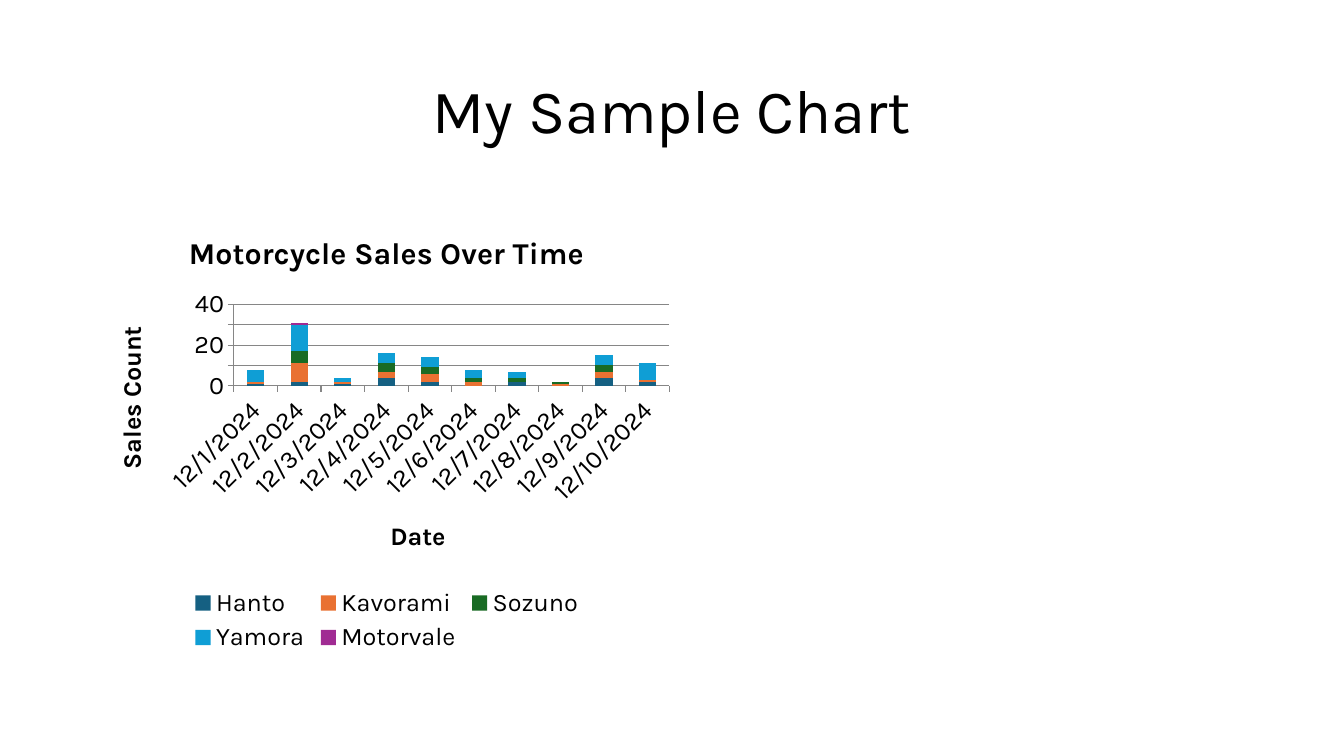
import pptx
import pptx.chart.data
import pptx.dml.color
import pptx.enum.chart
import pptx.enum.text
import pptx.util

Pt = pptx.util.Pt
FONT = "Karla"
COLORS = {
    "text": "000000",
    "rule": "868686",
    "Hanto": "156082",
    "Kavorami": "E97132",
    "Sozuno": "196B24",
    "Yamora": "0F9ED5",
    "Motorvale": "A02B93",
}
DATES = [f"12/{day}/2024" for day in range(1, 11)]
SALES = {
    "Hanto": (1, 2, 1, 4, 2, 0, 2, 0, 4, 2),
    "Kavorami": (1, 9, 1, 3, 4, 2, 0, 1, 3, 1),
    "Sozuno": (0, 6, 0, 4, 3, 2, 2, 1, 3, 0),
    "Yamora": (6, 13, 2, 5, 5, 4, 3, 0, 5, 8),
    "Motorvale": (0, 1, 0, 0, 0, 0, 0, 0, 0, 0),
}


def color(name):
    return pptx.dml.color.RGBColor.from_string(COLORS[name])


def style_font(font, size, bold=False):
    font.name = FONT
    font.size = Pt(size)
    font.bold = bold
    font.color.rgb = color("text")


def write_text(frame, text, size=18, bold=False, spacing=None):
    paragraph = frame.paragraphs[0]
    paragraph.alignment = pptx.enum.text.PP_ALIGN.CENTER
    paragraph.line_spacing = spacing
    run = paragraph.add_run()
    run.text = text
    style_font(run.font, size, bold)


def style_rule(line):
    line.color.rgb = color("rule")
    line.width = Pt(0.75)


def format_axis(axis, title):
    axis.major_tick_mark = pptx.enum.chart.XL_TICK_MARK.OUTSIDE
    axis.minor_tick_mark = pptx.enum.chart.XL_TICK_MARK.NONE
    style_rule(axis.format.line)
    write_text(axis.axis_title.text_frame, title, bold=True)


def add_heading(slide, text):
    heading = slide.shapes.title
    heading.left, heading.top = Pt(66), Pt(29)
    heading.width, heading.height = Pt(828), Pt(104)
    heading.text_frame.vertical_anchor = pptx.enum.text.MSO_ANCHOR.MIDDLE
    write_text(heading.text_frame, text, size=44, spacing=0.9)


def add_sales_chart(slide):
    data = pptx.chart.data.CategoryChartData()
    data.categories = DATES
    for maker, counts in SALES.items():
        data.add_series(maker, counts)
    chart = slide.shapes.add_chart(
        pptx.enum.chart.XL_CHART_TYPE.COLUMN_STACKED,
        Pt(66), Pt(152), Pt(420.5), Pt(317.5), data,
    ).chart
    style_font(chart.font, 18)

    chart.has_title = True
    write_text(chart.chart_title.text_frame, "Motorcycle Sales Over Time",
               size=21.6, bold=True)
    format_axis(chart.category_axis, "Date")
    format_axis(chart.value_axis, "Sales Count")
    chart.value_axis.has_major_gridlines = True
    style_rule(chart.value_axis.major_gridlines.format.line)

    chart.has_legend = True
    chart.legend.position = pptx.enum.chart.XL_LEGEND_POSITION.BOTTOM
    chart.legend.include_in_layout = False

    columns = chart.plots[0]
    columns.overlap = 100
    columns.gap_width = 150
    columns.vary_by_categories = False
    for maker in columns.series:
        maker.format.fill.solid()
        maker.format.fill.fore_color.rgb = color(maker.name)


def main():
    deck = pptx.Presentation()
    deck.slide_width, deck.slide_height = Pt(960), Pt(540)
    slide = deck.slides.add_slide(deck.slide_layouts[5])
    add_heading(slide, "My Sample Chart")
    add_sales_chart(slide)
    deck.save("out.pptx")


if __name__ == "__main__":
    main()
